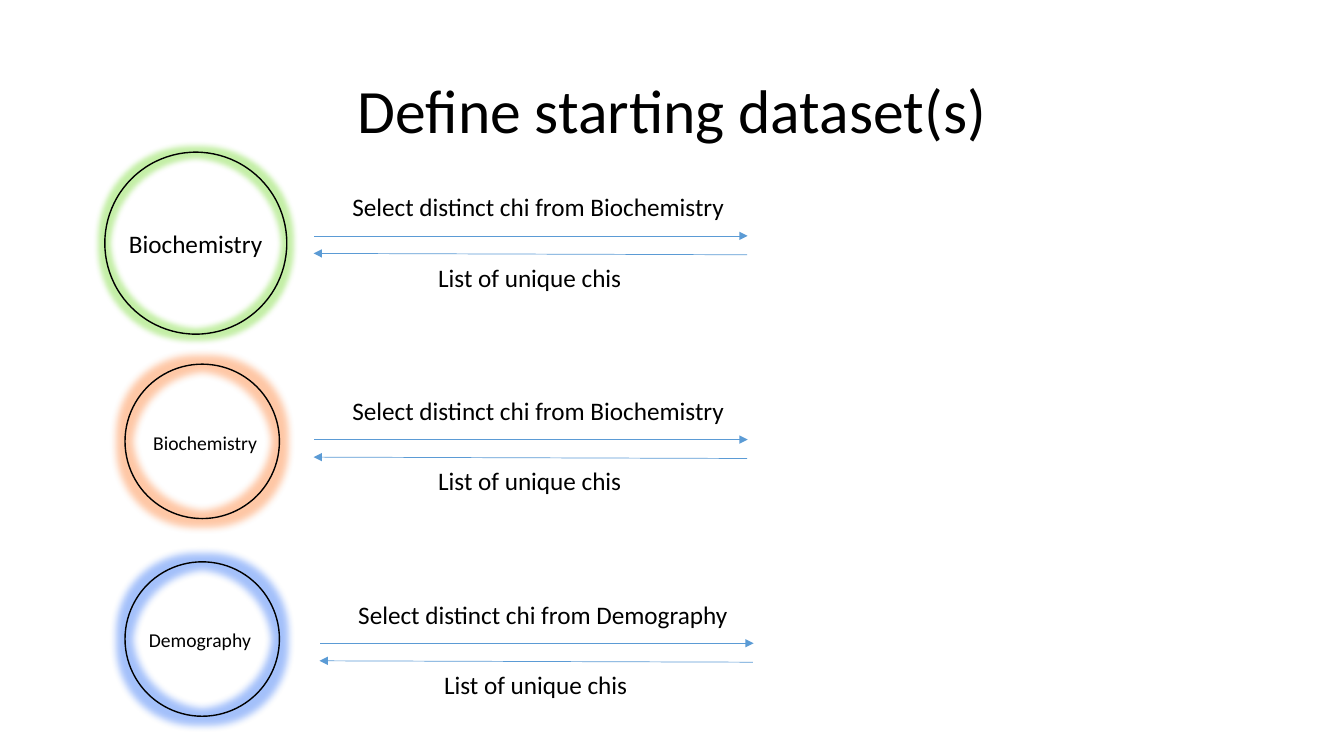
from lxml.etree import SubElement
from pptx import Presentation
from pptx.dml.color import RGBColor
from pptx.enum.shapes import MSO_CONNECTOR as Connector, MSO_SHAPE as Shape
from pptx.enum.text import MSO_ANCHOR as Anchor, PP_ALIGN as Align
from pptx.oxml.ns import qn
from pptx.util import Pt

FONT = "Calibri"
COLORS = {"text": "000000", "arrow": "5B9BD5", "green": "6BD720",
          "orange": "FF731E", "blue": "1A62F5"}
TITLE_BOX = (66, 28.8, 828, 104.4)
ARROW_TOP, ROW_STEP = 168.5, 145.5
ROWS = [
    ("Biochemistry", "green", (74.9, 108.7, 130), 8, 18, (2.7, 115.2), 224.6, 283),
    ("Biochemistry", "orange", (89.3, 260.1, 110.3), 11, 14, (2.5, 89.3), 224.6, 283),
    ("Demography", "blue", (89.3, 401.3, 110.3), 11, 14, (-0.9, 88.6), 228.8, 281.5),
]


def style_text(text_frame, size):
    """Give every run the slide's font, colour and the given size."""
    for paragraph in text_frame.paragraphs:
        for run in paragraph.runs:
            run.font.name = FONT
            run.font.size = Pt(size)
            run.font.color.rgb = RGBColor.from_string(COLORS["text"])


def add_title(slide, text, box):
    """Place and format the title placeholder."""
    title = slide.shapes.title
    title.left, title.top, title.width, title.height = map(Pt, box)
    text_frame = title.text_frame
    text_frame.text = text
    text_frame.vertical_anchor = Anchor.MIDDLE
    text_frame.paragraphs[0].alignment = Align.CENTER
    text_frame.paragraphs[0].line_spacing = 0.9
    style_text(text_frame, 44)


def add_label(slide, text, size, left, top, width):
    """Add one line of unwrapped text."""
    label = slide.shapes.add_textbox(Pt(left), Pt(top), Pt(width), Pt(size * 1.6))
    label.text_frame.text = text
    label.text_frame.word_wrap = False
    style_text(label.text_frame, size)


def add_dataset(slide, name, color, box, glow_radius, size, label):
    """Draw a glowing ring with the dataset name inside it."""
    left, top, diameter = box
    ring = slide.shapes.add_shape(Shape.OVAL, *map(Pt, (left, top, diameter, diameter)))
    ring.fill.background()
    ring.line.color.rgb = RGBColor.from_string(COLORS["text"])
    ring.line.width = Pt(1)
    ring.shadow.inherit = False
    effects = ring.element.spPr.find(qn("a:effectLst"))
    glow = SubElement(effects, qn("a:glow"), rad=str(Pt(glow_radius)))
    glow_color = SubElement(glow, qn("a:srgbClr"), val=COLORS[color])
    SubElement(glow_color, qn("a:alpha"), val="40000")
    shift, width = label
    add_label(slide, name, size, left + diameter / 2 + shift - width / 2,
              top + diameter / 2 - size * 0.8, width)


def add_arrow(slide, start, end):
    """Draw a thin arrow from start to end."""
    arrow = slide.shapes.add_connector(Connector.STRAIGHT, *map(Pt, start + end))
    arrow.line.color.rgb = RGBColor.from_string(COLORS["arrow"])
    arrow.line.width = Pt(0.5)
    SubElement(arrow.line._get_or_add_ln(), qn("a:tailEnd"), type="triangle")
    SubElement(arrow.element.spPr, qn("a:effectLst"))


def add_query(slide, name, left, top, width):
    """Draw the query arrow, the reply arrow and their labels."""
    add_arrow(slide, (left, top), (left + 309.5, top))
    add_arrow(slide, (left + 309, top + 13.5), (left - 0.6, top + 12.5))
    add_label(slide, f"Select distinct chi from {name}", 18, left + 20, top - 35.3, width)
    add_label(slide, "List of unique chis", 18, left + 81.3, top + 15.1, 146.9)


def main():
    """Build the slide and save it."""
    presentation = Presentation()
    presentation.slide_width, presentation.slide_height = Pt(960), Pt(540)
    slide = presentation.slides.add_slide(presentation.slide_layouts[5])
    add_title(slide, "Define starting dataset(s)", TITLE_BOX)
    for index, (name, color, box, glow, size, label, left, width) in enumerate(ROWS):
        add_dataset(slide, name, color, box, glow, size, label)
        add_query(slide, name, left, ARROW_TOP + index * ROW_STEP, width)
    presentation.save("out.pptx")


if __name__ == "__main__":
    main()
